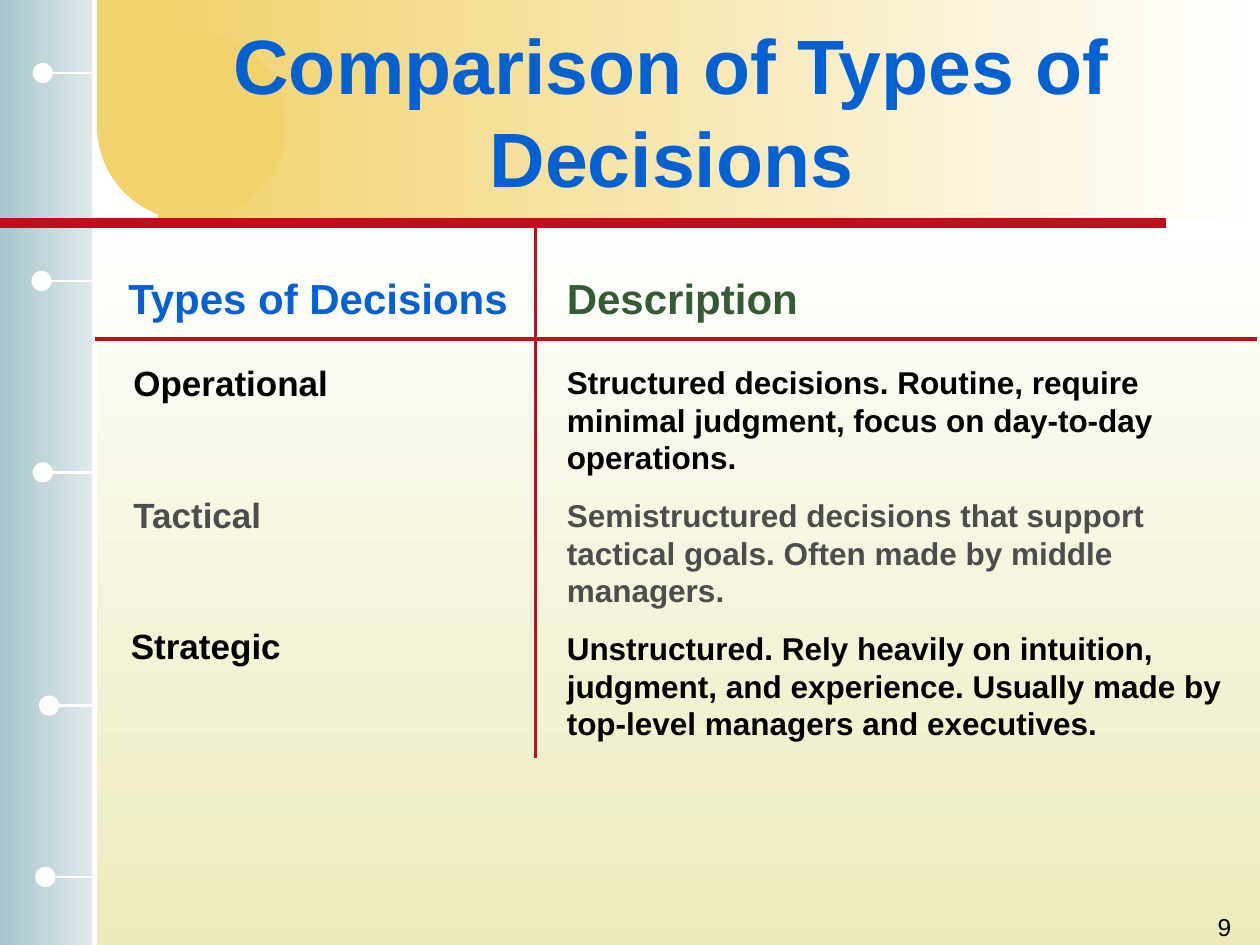
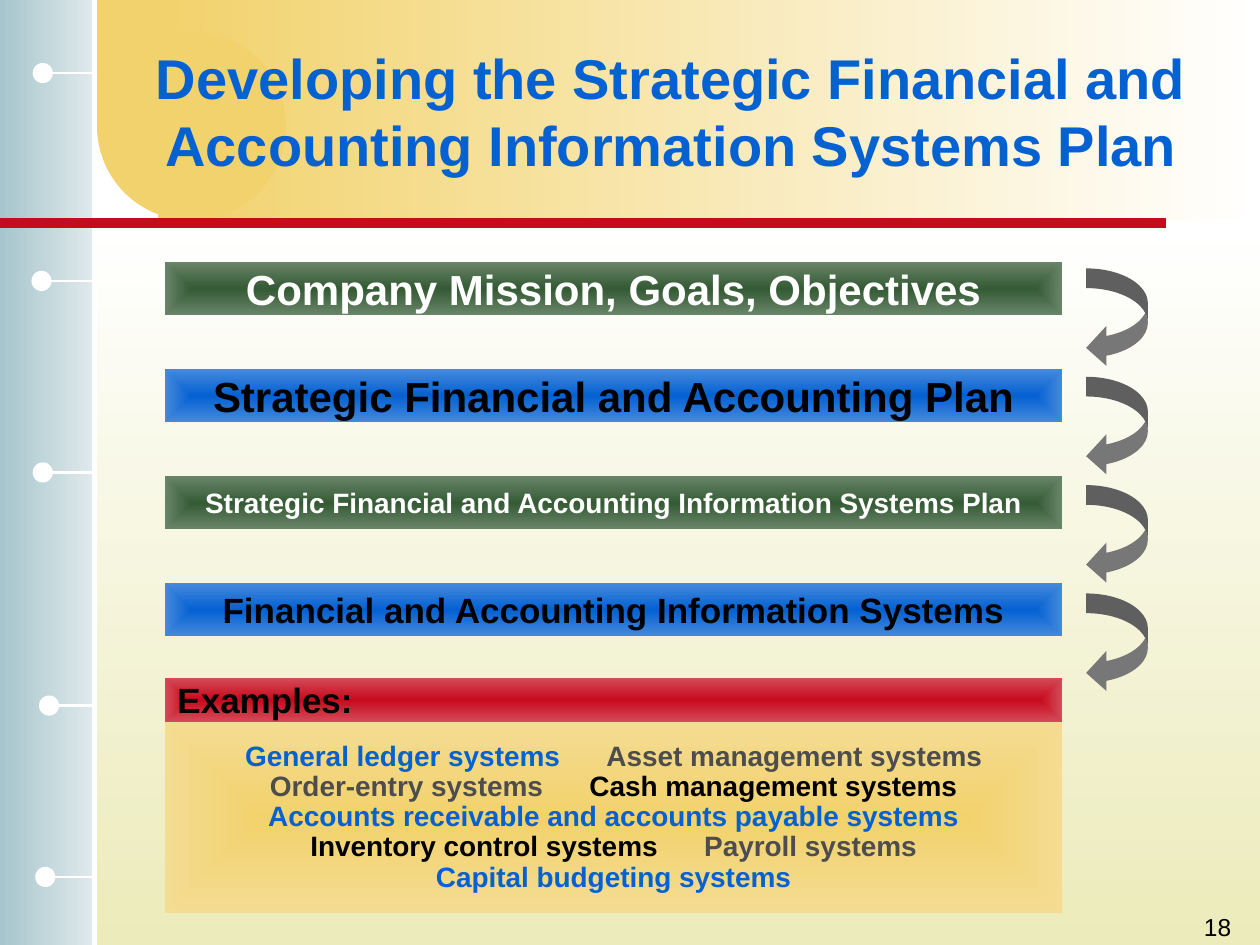
from pptx import Presentation
from pptx.dml.color import RGBColor
from pptx.enum.shapes import MSO_CONNECTOR, MSO_SHAPE
from pptx.enum.text import MSO_ANCHOR, MSO_AUTO_SIZE, PP_ALIGN
from pptx.oxml import parse_xml
from pptx.oxml.ns import nsdecls, qn
from pptx.oxml.xmlchemy import OxmlElement
from pptx.util import Inches, Pt

WHITE = RGBColor(0xFF, 0xFF, 0xFF)
BLACK = RGBColor(0x00, 0x00, 0x00)
BLUE = RGBColor(0x04, 0x61, 0xD2)
LIGHT_BLUE = RGBColor(0x45, 0x89, 0xDC)
GREEN = RGBColor(0x35, 0x5B, 0x35)
LIGHT_GREEN = RGBColor(0x69, 0x85, 0x69)
RED = RGBColor(0xC7, 0x0B, 0x1D)
LIGHT_RED = RGBColor(0xD4, 0x4A, 0x58)
GOLD = RGBColor(0xF2, 0xD2, 0x6C)
LIGHT_GOLD = RGBColor(0xF4, 0xDC, 0x92)
CREAM = RGBColor(0xEC, 0xEB, 0xBB)
TEAL = RGBColor(0xA6, 0xC5, 0xCC)
LIGHT_TEAL = RGBColor(0xE0, 0xEA, 0xEC)
DARK_GRAY = RGBColor(0x4D, 0x4D, 0x4D)
ARROW_GRAY = RGBColor(0x77, 0x77, 0x77)

FONT = "Arial"
FROM_CENTRE = (
    f'<a:path {nsdecls("a")} path="rect">'
    '<a:fillToRect l="50000" t="50000" r="50000" b="50000"/></a:path>'
)


class Deck:
    def __init__(self):
        self.presentation = Presentation()
        self.presentation.slide_width = Inches(10)
        self.presentation.slide_height = Inches(7.5)
        self.slide = None

    def add_slide(self, title, title_size, number):
        first = self.slide is None
        layout = self.presentation.slide_layouts[5]
        self.slide = self.presentation.slides.add_slide(layout)
        if first:
            self.draw_background()
        heading = self.slide.shapes.title
        heading.left, heading.top = Inches(1.08), Inches(0.25)
        heading.width, heading.height = Inches(8.5), Inches(1.25)
        frame = heading.text_frame
        frame.auto_size = MSO_AUTO_SIZE.NONE
        frame.vertical_anchor = MSO_ANCHOR.MIDDLE
        frame.paragraphs[0].alignment = PP_ALIGN.CENTER
        self.run(frame.paragraphs[0], title, title_size, BLUE)
        self.text(7.79, 7.19, 2.08, 0.5, [(number, BLACK)], 14,
                  bold=False, align=PP_ALIGN.RIGHT)

    def draw_background(self):
        self.shape(0.73, 1.77, 9.27, 5.73, WHITE, CREAM, angle=270)
        self.shape(0, 0, 0.75, 7.5, LIGHT_TEAL, TEAL, angle=180)
        self.shape(1.25, 0, 8.75, 1.75, WHITE, GOLD, angle=180)
        self.shape(0.77, 0.25, 1.5, 1.5, GOLD, preset=MSO_SHAPE.OVAL)
        self.shape(0.77, 0, 0.67, 0.96, GOLD)
        self.line(0.75, 0, 0.75, 7.5, WHITE, 3)
        for dot_left, y, start, end in [
            (0.26, 0.58, 0.42, 0.75),
            (0.25, 2.23, 0.33, 1.17),
            (0.26, 3.75, 0.4, 0.73),
            (0.31, 5.6, 0.42, 0.75),
            (0.28, 6.96, 0.4, 0.73),
        ]:
            self.line(end, y, start, y, WHITE, 1.5)
            self.shape(dot_left, y - 0.08, 0.16, 0.16, WHITE,
                       preset=MSO_SHAPE.OVAL)
        self.line(0, 1.77, 9.25, 1.77, RED, 6)
        self.move_to_master()

    def move_to_master(self):
        master_tree = self.presentation.slide_master.shapes._spTree
        parts = [s for s in self.slide.shapes if not s.is_placeholder]
        for index, part in enumerate(parts):
            element = part._element
            element.xpath(".//p:cNvPr")[0].set("id", str(100 + index))
            master_tree.insert(2 + index, element)

    def run(self, paragraph, words, size, color, bold=True):
        run = paragraph.add_run()
        run.text = words
        run.font.name = FONT
        run.font.size = Pt(size)
        run.font.bold = bold
        run.font.color.rgb = color
        return run

    def gap(self, paragraph, size, width):
        space = self.run(paragraph, " ", size, BLACK)
        space._r.get_or_add_rPr().set("spc", str(width * 100))

    def text(self, left, top, width, height, paragraphs, size, bold=True,
             align=PP_ALIGN.LEFT, space_before=0):
        box = self.slide.shapes.add_textbox(
            Inches(left), Inches(top), Inches(width), Inches(height))
        frame = box.text_frame
        frame.word_wrap = True
        for index, (words, color) in enumerate(paragraphs):
            paragraph = frame.add_paragraph() if index else frame.paragraphs[0]
            paragraph.alignment = align
            if index:
                paragraph.space_before = Pt(space_before)
            self.run(paragraph, words, size, color, bold)

    def shape(self, left, top, width, height, color, outer=None, angle=None,
              preset=MSO_SHAPE.RECTANGLE):
        shape = self.slide.shapes.add_shape(
            preset, Inches(left), Inches(top), Inches(width), Inches(height))
        shape.shadow.inherit = False
        shape.line.fill.background()
        if outer is None:
            shape.fill.solid()
            shape.fill.fore_color.rgb = color
            return shape
        shape.fill.gradient()
        for stop, stop_color in zip(shape.fill.gradient_stops, (color, outer)):
            stop.color.rgb = stop_color
        if angle is None:
            gradient = shape._element.spPr.find(qn("a:gradFill"))
            gradient.replace(gradient.find(qn("a:lin")), parse_xml(FROM_CENTRE))
        else:
            shape.fill.gradient_angle = angle
        return shape

    def panel(self, top, height, color, outer, lines, size,
              align=PP_ALIGN.CENTER, line_spacing=None):
        panel = self.shape(1.31, top, 7.12, height, color, outer)
        frame = panel.text_frame
        frame.word_wrap = False
        frame.vertical_anchor = MSO_ANCHOR.MIDDLE
        for index, entries in enumerate(lines):
            paragraph = frame.add_paragraph() if index else frame.paragraphs[0]
            paragraph.alignment = align
            paragraph.line_spacing = line_spacing
            for position, (words, text_color) in enumerate(entries):
                if position:
                    self.gap(paragraph, size, 22)
                self.run(paragraph, words, size, text_color)

    def line(self, x1, y1, x2, y2, color, width):
        line = self.slide.shapes.add_connector(
            MSO_CONNECTOR.STRAIGHT,
            Inches(x1), Inches(y1), Inches(x2), Inches(y2))
        line.line.color.rgb = color
        line.line.width = Pt(width)
        line._element.spPr.append(OxmlElement("a:effectLst"))

    def curved_arrow(self, left, top):
        arrow = self.shape(left, top, 0.49, 0.79, ARROW_GRAY,
                           preset=MSO_SHAPE.CURVED_LEFT_ARROW)
        for index, value in enumerate((0.32, 0.65, 0.33)):
            arrow.adjustments[index] = value


def add_decision_types(deck):
    deck.add_slide("Comparison of Types of Decisions", 44, "9")
    deck.line(0.75, 2.69, 9.98, 2.69, RED, 2.25)
    deck.line(4.25, 1.77, 4.25, 6.02, RED, 2.25)
    for left, top, width, height, words, size, color in [
        (0.92, 2.11, 3.3, 0.5, "Types of Decisions", 24, BLUE),
        (4.4, 2.11, 2.15, 0.5, "Description", 24, GREEN),
        (0.96, 2.82, 1.85, 0.44, "Operational", 20, BLACK),
        (0.96, 3.87, 1.35, 0.44, "Tactical", 20, DARK_GRAY),
        (0.94, 4.91, 1.5, 0.44, "Strategic", 20, BLACK),
    ]:
        deck.text(left, top, width, height, [(words, color)], size)
    descriptions = [
        ("Structured decisions. Routine, require minimal judgment, "
         "focus on day-to-day operations.", BLACK),
        ("Semistructured decisions that support tactical goals. "
         "Often made by middle managers.", DARK_GRAY),
        ("Unstructured. Rely heavily on intuition, judgment, and experience. "
         "Usually made by top-level managers and executives.", BLACK),
    ]
    deck.text(4.4, 2.83, 5.71, 3.12, descriptions, 18, space_before=11.2)


def add_systems_plan(deck):
    deck.add_slide("Developing the Strategic Financial and Accounting "
                   "Information Systems Plan", 32, "18")
    examples = [
        [("General ledger systems", BLUE),
         ("Asset management systems", DARK_GRAY)],
        [("Order-entry systems", DARK_GRAY),
         ("Cash management systems", BLACK)],
        [("Accounts receivable and accounts payable systems", BLUE)],
        [("Inventory control systems", BLACK),
         ("Payroll systems", DARK_GRAY)],
        [("Capital budgeting systems", BLUE)],
    ]
    deck.panel(5.73, 1.52, GOLD, LIGHT_GOLD, examples, 16, line_spacing=0.9)
    green_style = (GREEN, LIGHT_GREEN, WHITE)
    blue_style = (BLUE, LIGHT_BLUE, BLACK)
    planning_steps = [
        ("Company Mission, Goals, Objectives", 24, green_style),
        ("Strategic Financial and Accounting Plan", 24, blue_style),
        ("Strategic Financial and Accounting Information Systems Plan", 16,
         green_style),
        ("Financial and Accounting Information Systems", 20, blue_style),
    ]
    for index, (words, size, (color, outer, ink)) in enumerate(planning_steps):
        deck.panel(2.08 + 0.85 * index, 0.42, color, outer,
                   [[(words, ink)]], size)
        deck.curved_arrow(8.62, 2.13 + 0.86 * index)
    deck.panel(5.38, 0.35, RED, LIGHT_RED, [[("Examples:", BLACK)]], 20,
               align=PP_ALIGN.LEFT)


def main():
    deck = Deck()
    add_decision_types(deck)
    add_systems_plan(deck)
    deck.presentation.save("out.pptx")


if __name__ == "__main__":
    main()
